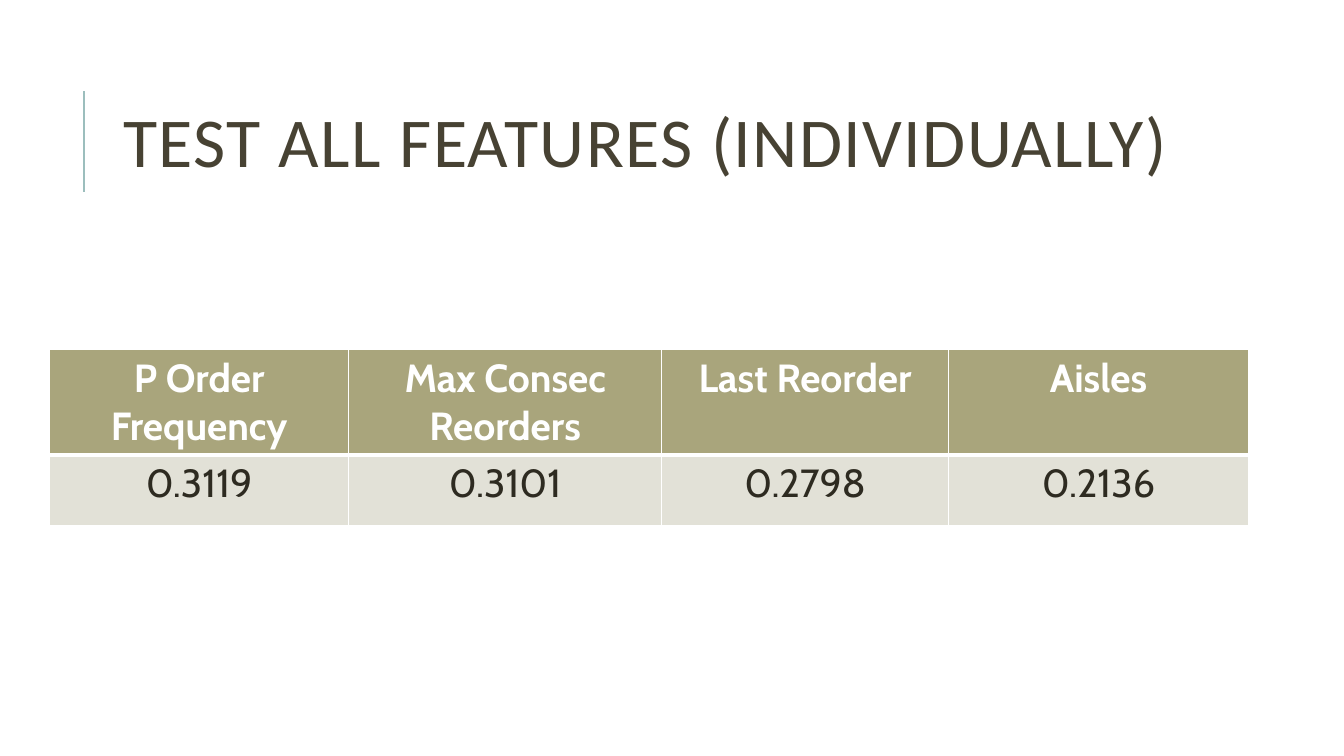
from lxml import etree
from pptx import Presentation
from pptx.dml.color import RGBColor
from pptx.enum.shapes import MSO_CONNECTOR
from pptx.enum.text import MSO_ANCHOR, MSO_AUTO_SIZE, PP_ALIGN
from pptx.oxml.ns import qn
from pptx.util import Inches, Pt

LINE = MSO_CONNECTOR.STRAIGHT
MIDDLE = MSO_ANCHOR.MIDDLE
FIXED = MSO_AUTO_SIZE.NONE
LEFT, CENTER = PP_ALIGN.LEFT, PP_ALIGN.CENTER
WIDE, HIGH = 13.33, 7.5
COLORS = {"title": "474233", "rule": "9CBEBD", "head": "A9A57C",
          "body": "E2E1D7", "ink": "2E2B21", "white": "FFFFFF"}
FORMATS = {
    "title": {"name": "Calibri", "size": Pt(50), "bold": False},
    "head": {"name": "Cabin", "size": Pt(28), "bold": True},
    "body": {"name": "Cabin", "size": Pt(28), "bold": False},
}
HEADS = ["P Order Frequency", "Max Consec Reorders", "Last Reorder", "Aisles"]
SCORES = ["0.3119", "0.3101", "0.2798", "0.2136"]


class Deck:
    """Draw styled elements on a slide, placed by shares of its size."""

    def __init__(self):
        self.prs = Presentation()
        self.prs.slide_width = Inches(WIDE)
        self.prs.slide_height = Inches(HIGH)
        self.slide = self.prs.slides.add_slide(self.prs.slide_layouts[5])

    def x(self, share):
        return round(self.prs.slide_width * share)

    def y(self, share):
        return round(self.prs.slide_height * share)

    def color(self, name):
        return RGBColor.from_string(COLORS[name])

    def label(self, frame, text, style, ink, align):
        par = frame.paragraphs[0]
        par.alignment = align
        run = par.add_run()
        run.text = text
        for key, value in FORMATS[style].items():
            setattr(run.font, key, value)
        run.font.color.rgb = self.color(ink)
        return par, run

    def title(self, text, left, top, width, height):
        box = self.slide.shapes.title
        place = {"left": self.x(left), "top": self.y(top),
                 "width": self.x(width), "height": self.y(height)}
        for key, value in place.items():
            setattr(box, key, value)
        frame = box.text_frame
        setup = {"word_wrap": True, "auto_size": FIXED, "vertical_anchor": MIDDLE}
        for key, value in setup.items():
            setattr(frame, key, value)
        par, run = self.label(frame, text, "title", "title", LEFT)
        par.line_spacing = 0.8
        run._r.get_or_add_rPr().set("spc", "100")

    def rule(self, left, start, end):
        line = self.slide.shapes.add_connector(
            LINE, self.x(left), self.y(start), self.x(left), self.y(end))
        line.line.color.rgb = self.color("rule")
        line.line.width = Pt(1.5)
        etree.SubElement(line._element.spPr, qn("a:effectLst"))

    def border(self, cell, widths):
        props = cell._tc.get_or_add_tcPr()
        for side, width in widths.items():
            edge = etree.SubElement(props, qn(f"a:ln{side}"), w=str(Pt(width)))
            fill = etree.SubElement(edge, qn("a:solidFill"))
            etree.SubElement(fill, qn("a:srgbClr"), val=COLORS["white"])

    def table(self, rows, left, top, cols, heights):
        grid = self.slide.shapes.add_table(
            len(rows), len(cols), self.x(left), self.y(top),
            self.x(sum(cols)), self.y(sum(heights))).table
        for col, share in zip(grid.columns, cols):
            col.width = self.x(share)
        for row, share in zip(grid.rows, heights):
            row.height = self.y(share)
        for r, texts in enumerate(rows):
            style, ink = ("body", "ink") if r else ("head", "white")
            edges = {"T": 3, "B": 1} if r else {"T": 1, "B": 3}
            for c, text in enumerate(texts):
                cell = grid.cell(r, c)
                self.border(cell, {"L": 1, "R": 1, **edges})
                cell.fill.solid()
                cell.fill.fore_color.rgb = self.color(style)
                self.label(cell.text_frame, text, style, ink, CENTER)


def main():
    deck = Deck()
    deck.rule(0.83 / WIDE, 1.9 / HIGH, 0.9 / HIGH)
    deck.title("TEST ALL FEATURES (INDIVIDUALLY)",
               1.12 / WIDE, 0.64 / HIGH, 10.63 / WIDE, 1.64 / HIGH)
    cols = [width / WIDE for width in (2.97, 3.1, 2.85, 2.97)]
    heights = [height / HIGH for height in (1.02, 0.7)]
    deck.table([HEADS, SCORES], 0.49 / WIDE, 3.47 / HIGH, cols, heights)
    deck.prs.save("out.pptx")


if __name__ == "__main__":
    main()
